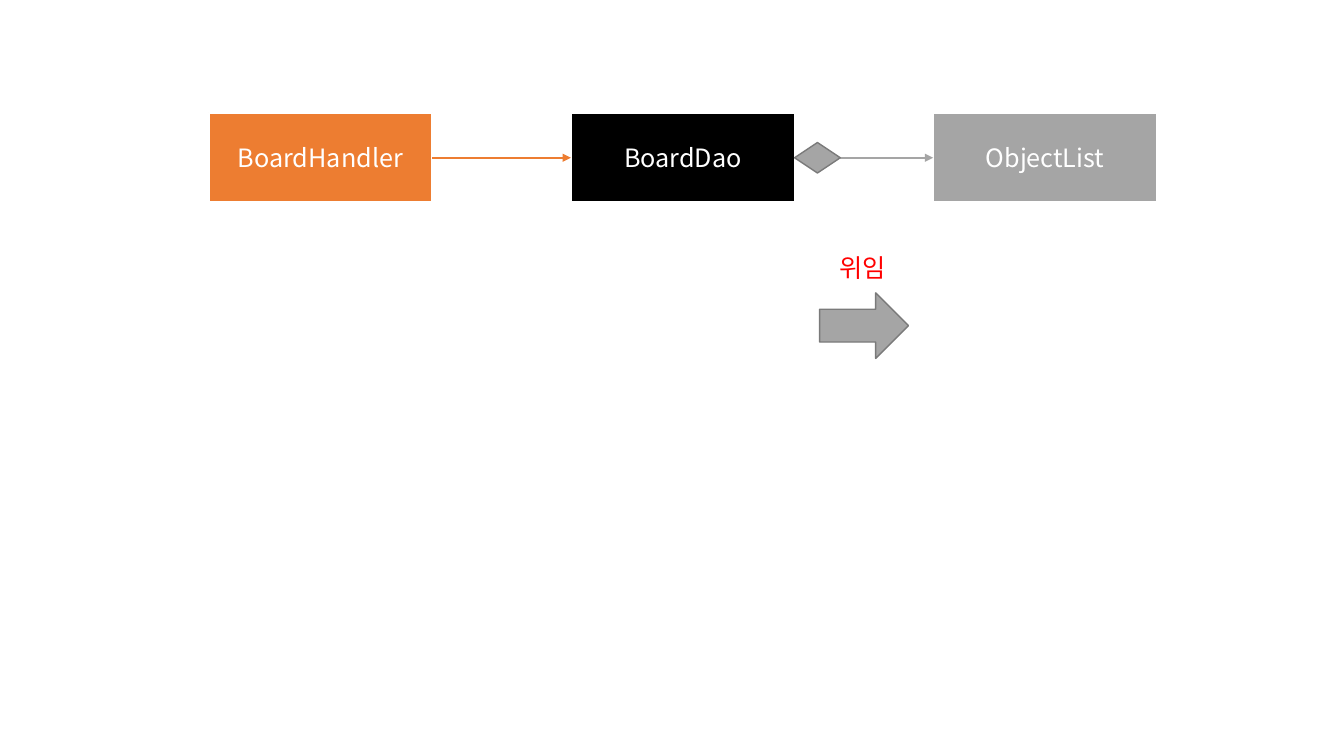
"""Build a slide showing how BoardHandler reaches ObjectList through BoardDao."""
from typing import NamedTuple

from pptx import Presentation
from pptx import util as u
from pptx.dml.color import RGBColor
from pptx.enum import shapes, text
from pptx.oxml.ns import qn
from lxml import etree

COLORS = {
    "handler": "ED7D31",
    "dao": "000000",
    "list": "A5A5A5",
    "list_edge": "7A7A7A",
    "white": "FFFFFF",
    "delegation": "FF0000",
}
FONT = "Noto Sans CJK KR"
FIRST_LEFT, PITCH, CLASS_TOP = 149, 258.8, 80.7
CLASS_WIDTH, CLASS_HEIGHT = 159.8, 64
MIDDLE = CLASS_TOP + CLASS_HEIGHT / 2


class ClassBox(NamedTuple):
    name: str
    color: str


class Symbol(NamedTuple):
    kind: shapes.MSO_SHAPE
    left: float
    top: float
    width: float
    height: float
    fill: str
    edge: str
    edge_width: float


CLASSES = [
    ClassBox("BoardHandler", "handler"),
    ClassBox("BoardDao", "dao"),
    ClassBox("ObjectList", "list"),
]
RELATION_COLORS = ["handler", "list"]
DIAMOND_HEIGHT = 21.8
DELEGATION_SYMBOLS = [
    Symbol(shapes.MSO_SHAPE.FLOWCHART_DECISION, FIRST_LEFT + PITCH + CLASS_WIDTH,
           MIDDLE - DIAMOND_HEIGHT / 2, 32.6, DIAMOND_HEIGHT, "list", "list_edge", 1),
    Symbol(shapes.MSO_SHAPE.RIGHT_ARROW, 585.5, 209.2, 63.4, 46.8,
           "list", "list_edge", 1),
]


def rgb(key: str) -> RGBColor:
    """Return the named colour."""
    return RGBColor.from_string(COLORS[key])


def class_left(index: int) -> float:
    """Return the left edge of a class box in points."""
    return FIRST_LEFT + index * PITCH


def write(frame, words: str, color: str, formats: dict) -> None:
    """Write one formatted line into a text frame."""
    for attribute, value in formats.items():
        setattr(frame, attribute, value)
    run = frame.paragraphs[0].add_run()
    run.text = words
    for attribute, value in {"name": FONT, "size": u.Pt(18)}.items():
        setattr(run.font, attribute, value)
    run.font.color.rgb = rgb(color)
    etree.SubElement(run.font._element, qn("a:ea")).set("typeface", FONT)


def draw_symbol(slide, symbol: Symbol):
    """Draw a filled and outlined preset shape."""
    bounds = (symbol.left, symbol.top, symbol.width, symbol.height)
    drawn = slide.shapes.add_shape(symbol.kind, *map(u.Pt, bounds))
    drawn.shadow.inherit = False
    drawn.fill.solid()
    drawn.fill.fore_color.rgb = rgb(symbol.fill)
    drawn.line.color.rgb = rgb(symbol.edge)
    drawn.line.width = u.Pt(symbol.edge_width)
    return drawn


def draw_class(slide, index: int, box: ClassBox) -> None:
    """Draw a class box with its name in the centre."""
    drawn = draw_symbol(slide, Symbol(
        shapes.MSO_SHAPE.RECTANGLE, class_left(index), CLASS_TOP,
        CLASS_WIDTH, CLASS_HEIGHT, box.color, "white", 1.5))
    write(drawn.text_frame, box.name, "white",
          {"vertical_anchor": text.MSO_ANCHOR.MIDDLE, "word_wrap": True})
    drawn.text_frame.paragraphs[0].alignment = text.PP_ALIGN.CENTER


def draw_relation(slide, index: int, color: str) -> None:
    """Draw an arrow from one class box to the next."""
    start, end = class_left(index) + CLASS_WIDTH, class_left(index + 1)
    relation = slide.shapes.add_connector(
        shapes.MSO_CONNECTOR.STRAIGHT, *map(u.Pt, (start, MIDDLE, end, MIDDLE)))
    relation.line.color.rgb = rgb(color)
    relation.line.width = u.Pt(1.5)
    properties = relation._element.spPr
    etree.SubElement(properties.find(qn("a:ln")), qn("a:tailEnd")).set("type", "triangle")
    etree.SubElement(properties, qn("a:effectLst"))


def main() -> None:
    """Build and save the slide."""
    deck = Presentation()
    deck.slide_width, deck.slide_height = u.Pt(960), u.Pt(540)
    slide = deck.slides.add_slide(deck.slide_layouts[6])
    for index, box in enumerate(CLASSES):
        draw_class(slide, index, box)
    for index, color in enumerate(RELATION_COLORS):
        draw_relation(slide, index, color)
    for symbol in DELEGATION_SYMBOLS:
        draw_symbol(slide, symbol)
    delegation = slide.shapes.add_textbox(*map(u.Pt, (592.6, 176.4, 81.4, 29)))
    write(delegation.text_frame, "위임", "delegation",
          {"word_wrap": True, "auto_size": text.MSO_AUTO_SIZE.SHAPE_TO_FIT_TEXT})
    deck.save("out.pptx")


if __name__ == "__main__":
    main()
